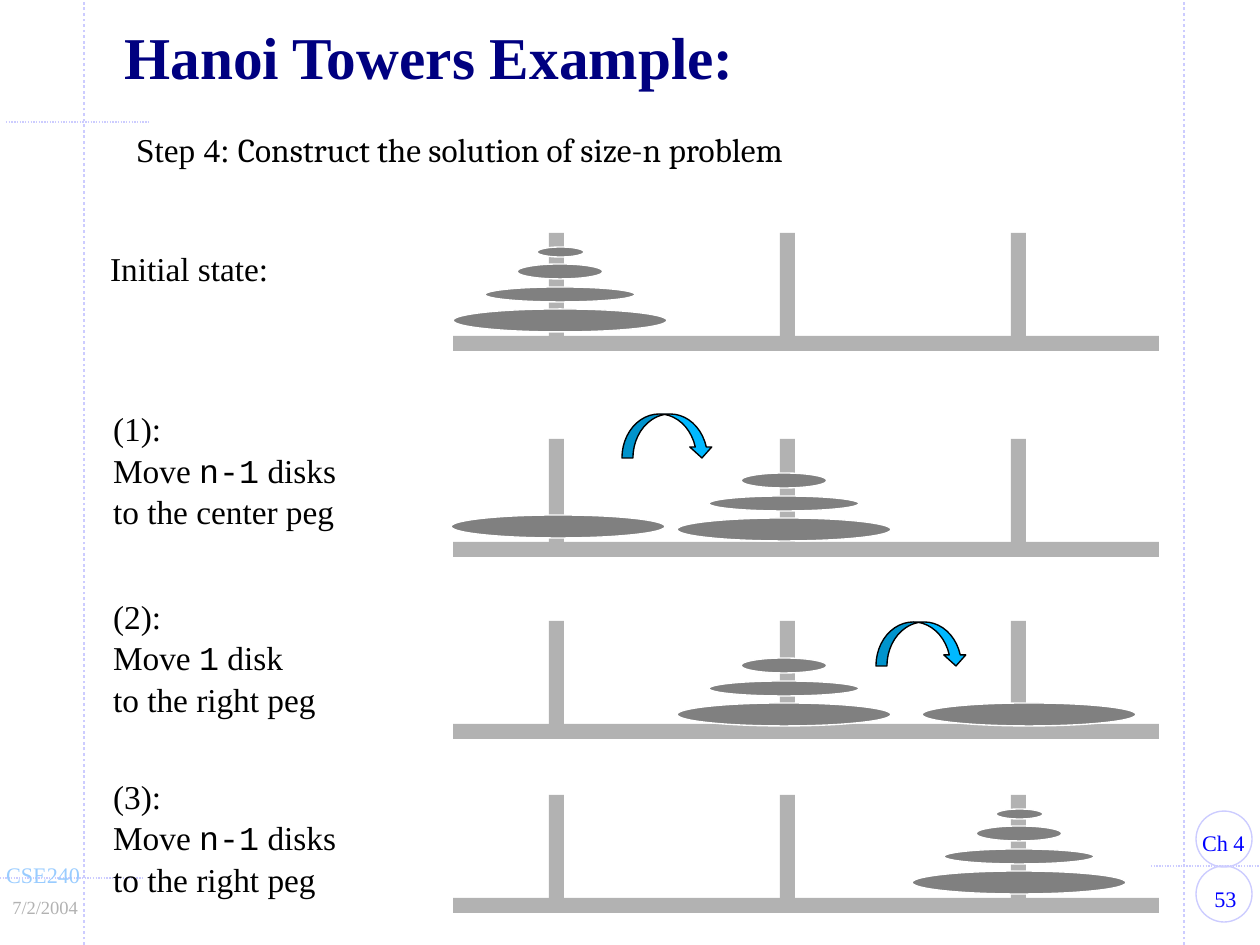
"""Build the Hanoi Towers slide: four peg boards with the moves between them."""
from dataclasses import dataclass
from typing import NamedTuple

from lxml import etree
from pptx import Presentation
from pptx.dml.color import RGBColor
from pptx.enum.dml import MSO_LINE
from pptx.enum.shapes import MSO_CONNECTOR, MSO_SHAPE
from pptx.enum.text import MSO_ANCHOR, MSO_AUTO_SIZE, PP_ALIGN
from pptx.oxml.ns import qn
from pptx.util import Emu, Pt

DOTTED = MSO_LINE.ROUND_DOT
STRAIGHT = MSO_CONNECTOR.STRAIGHT
RECTANGLE = MSO_SHAPE.RECTANGLE
ELLIPSE = MSO_SHAPE.OVAL
MOVE_ARROW = MSO_SHAPE.CURVED_DOWN_ARROW
LEFT, CENTER, RIGHT = PP_ALIGN.LEFT, PP_ALIGN.CENTER, PP_ALIGN.RIGHT
TOP, MIDDLE = MSO_ANCHOR.TOP, MSO_ANCHOR.MIDDLE
NO_FIT = MSO_AUTO_SIZE.NONE

EMU_PER_PX = 6858
TITLE_ONLY = 5


@dataclass(frozen=True)
class Theme:
    """Fonts, colours, type sizes and line widths of the slide."""
    serif: str = "Times New Roman"
    mono: str = "Courier New"
    heading: str = "Cambria"
    title: str = "000080"
    ink: str = "000000"
    number: str = "0000FF"
    course: str = "99CCFF"
    gray: str = "B2B2B2"
    disk: str = "808080"
    rim: str = "FFFFFF"
    guide: str = "CCCCFF"
    arrow: str = "00B8FF"
    title_size: int = 32
    body_size: int = 18
    footer_size: int = 12
    date_size: int = 10
    thin: float = 0.75
    thick: float = 1.5


THEME = Theme()


class Box(NamedTuple):
    """A rectangle in px."""
    left: int
    top: int
    width: int
    height: int


class Run(NamedTuple):
    """A piece of text in one font."""
    text: str
    font: str = THEME.serif


class Guide(NamedTuple):
    """A dotted guide line in px."""
    start: tuple[int, int]
    end: tuple[int, int]
    width: float


class Footer(NamedTuple):
    """A small text at the slide's edge."""
    text: str
    box: Box
    size: int
    color: str
    align: PP_ALIGN = LEFT


class Stack(NamedTuple):
    """Disks on one peg, given as indexes into DISKS."""
    center: int
    lift: int
    disks: range


class Disk(NamedTuple):
    """A disk's size and its rise above the largest disk."""
    width: int
    height: int
    rise: int


class Stage(NamedTuple):
    """One state of the puzzle with its label."""
    base_top: int
    label_box: Box
    label: list[list[Run]]
    stacks: list[Stack]


DISKS = [Disk(214, 23, 0), Disk(150, 15, 22), Disk(86, 15, 45), Disk(47, 10, 62)]
ALL_DISKS, LARGEST, SMALLER = range(4), range(1), range(3)

PEG_LEFT, PEG_STEP, PEG_COUNT = 549, 231, 3

GUIDES = [
    Guide((84, 945), (84, 0), THEME.thick),
    Guide((0, 878), (144, 878), THEME.thin),
    Guide((1184, 945), (1184, 0), THEME.thick),
    Guide((1151, 866), (1260, 866), THEME.thin),
    Guide((6, 122), (150, 122), THEME.thin),
]

FOOTERS = [
    Footer("53", Box(1189, 879, 73, 40), THEME.footer_size, THEME.number, CENTER),
    Footer("Ch 4", Box(1189, 823, 69, 40), THEME.footer_size, THEME.number),
    Footer("CSE240", Box(-7, 855, 101, 40), THEME.footer_size, THEME.course),
    Footer("7/2/2004", Box(-1, 889, 92, 36), THEME.date_size, THEME.gray, RIGHT),
]


def step_label(number: int, count: str, noun: str, peg: str) -> list[list[Run]]:
    """Return the three lines that describe a move."""
    return [
        [Run(f"({number}):")],
        [Run("Move "), Run(count, THEME.mono), Run(f" {noun}")],
        [Run(f"to the {peg} peg")],
    ]


STAGES = [
    Stage(336, Box(97, 240, 185, 53), [[Run("Initial state:")]],
          [Stack(560, 27, ALL_DISKS)]),
    Stage(542, Box(100, 400, 250, 133), step_label(1, "n-1", "disks", "center"),
          [Stack(784, 24, SMALLER), Stack(558, 27, LARGEST)]),
    Stage(724, Box(100, 588, 229, 133), step_label(2, "1", "disk", "right"),
          [Stack(784, 21, SMALLER), Stack(1029, 21, LARGEST)]),
    Stage(898, Box(100, 768, 250, 133), step_label(3, "n-1", "disks", "right"),
          [Stack(1019, 27, ALL_DISKS)]),
]

ARROWS = [Box(622, 414, 91, 44), Box(876, 622, 91, 44)]


def px(length: int) -> Emu:
    """Turn px into EMU."""
    return Emu(length * EMU_PER_PX)


def place(shape, box: Box) -> None:
    """Move and size a shape."""
    shape.left, shape.top, shape.width, shape.height = map(px, box)


def write(shape, lines: list[list[Run]], *, size: int, color: str, bold: bool = False,
          align: PP_ALIGN = LEFT, anchor: MSO_ANCHOR = TOP, wrap: bool = False,
          spacing: float = 1.0) -> None:
    """Fill a shape with formatted lines of text."""
    frame = shape.text_frame
    frame.auto_size = NO_FIT
    frame.word_wrap = wrap
    frame.vertical_anchor = anchor
    for index, runs in enumerate(lines):
        paragraph = frame.add_paragraph() if index else frame.paragraphs[0]
        paragraph.alignment = align
        paragraph.line_spacing = spacing
        for text, font in runs:
            run = paragraph.add_run()
            run.text = text
            run.font.name = font
            run.font.size = Pt(size)
            run.font.bold = bold
            run.font.color.rgb = RGBColor.from_string(color)


def add_text(slide, box: Box, lines: list[list[Run]], **text_format) -> None:
    """Add a text box."""
    write(slide.shapes.add_textbox(*map(px, box)), lines, **text_format)


def add_shape(slide, kind: MSO_SHAPE, box: Box, *, fill: str | None = None,
              line: str | None = None) -> None:
    """Add a preset shape with an optional fill and outline."""
    shape = slide.shapes.add_shape(kind, *map(px, box))
    shape.shadow.inherit = False
    if fill:
        shape.fill.solid()
        shape.fill.fore_color.rgb = RGBColor.from_string(fill)
    else:
        shape.fill.background()
    if line:
        shape.line.color.rgb = RGBColor.from_string(line)
        shape.line.width = Pt(THEME.thin)
    else:
        shape.line.fill.background()


def add_guide(slide, guide: Guide) -> None:
    """Add a dotted guide line."""
    connector = slide.shapes.add_connector(STRAIGHT, *map(px, guide.start + guide.end))
    connector.line.color.rgb = RGBColor.from_string(THEME.guide)
    connector.line.width = Pt(guide.width)
    connector.line.dash_style = DOTTED
    etree.SubElement(connector._element.spPr, qn("a:effectLst"))


def add_stage(slide, stage: Stage) -> None:
    """Add a board with pegs, disks and its label."""
    add_shape(slide, RECTANGLE, Box(453, stage.base_top, 706, 15), fill=THEME.gray)
    for peg in range(PEG_COUNT):
        box = Box(PEG_LEFT + peg * PEG_STEP, stage.base_top - 103, 15, 109)
        add_shape(slide, RECTANGLE, box, fill=THEME.gray)
    add_text(slide, stage.label_box, stage.label, size=THEME.body_size,
             color=THEME.ink, spacing=1.04)
    for stack in stage.stacks:
        for index in stack.disks:
            width, height, rise = DISKS[index]
            box = Box(stack.center - width // 2, stage.base_top - stack.lift - rise,
                      width, height)
            add_shape(slide, ELLIPSE, box, fill=THEME.disk, line=THEME.rim)


def main() -> None:
    """Build and save the slide."""
    presentation = Presentation()
    presentation.slide_width, presentation.slide_height = px(1260), px(945)
    slide = presentation.slides.add_slide(presentation.slide_layouts[TITLE_ONLY])
    for guide in GUIDES:
        add_guide(slide, guide)
    for footer in FOOTERS:
        add_text(slide, footer.box, [[Run(footer.text)]], size=footer.size,
                 color=footer.color, align=footer.align)
    for top in (811, 866):
        add_shape(slide, ELLIPSE, Box(1196, top, 56, 56), line=THEME.guide)
    title = slide.shapes.title
    place(title, Box(111, 23, 1077, 77))
    write(title, [[Run("Hanoi Towers Example:")]], size=THEME.title_size,
          color=THEME.title, bold=True, anchor=MIDDLE, wrap=True, spacing=0.85)
    heading = [Run("Step 4: "), Run("Construct the solution of size-n problem", THEME.heading)]
    add_text(slide, Box(123, 123, 675, 53), [heading], size=THEME.body_size, color=THEME.ink)
    for stage in STAGES:
        add_stage(slide, stage)
    for box in ARROWS:
        add_shape(slide, MOVE_ARROW, box, fill=THEME.arrow, line=THEME.ink)
    presentation.save("out.pptx")


if __name__ == "__main__":
    main()
